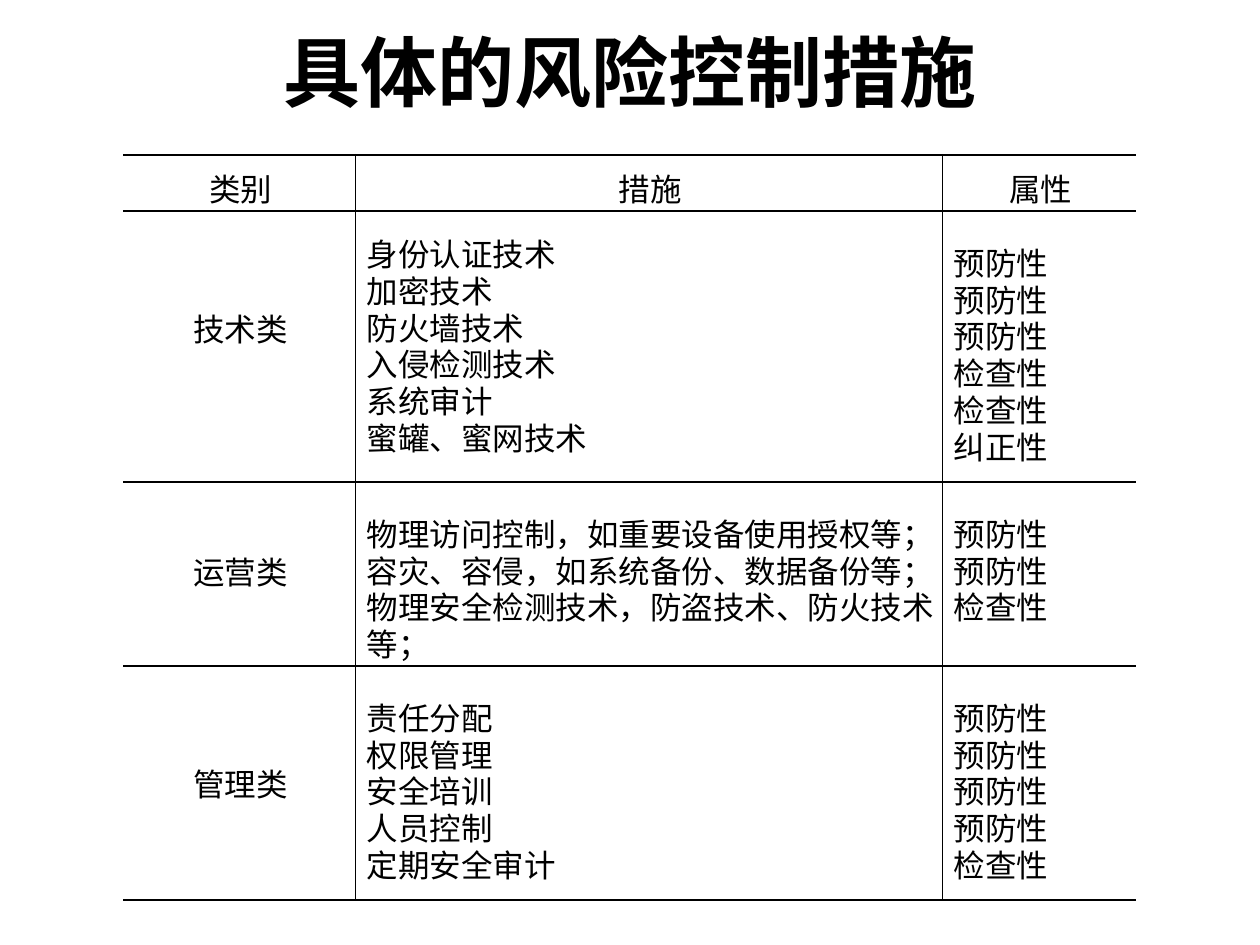
import pptx
import pptx.util
import pptx.dml.color
import pptx.enum.text
import pptx.oxml
import pptx.oxml.ns

Inches, Pt = pptx.util.Inches, pptx.util.Pt
ALIGN = pptx.enum.text.PP_ALIGN
ANCHOR = pptx.enum.text.MSO_ANCHOR
BLACK = pptx.dml.color.RGBColor(0, 0, 0)

TITLE_FONT = {"name": "Calibri", "size": Pt(44), "bold": True}
CELL_FONT = {"name": "Times New Roman", "size": Pt(18), "bold": False}
COL_WIDTHS = [1.84, 4.66, 1.54]
THIN, THICK = 1, 1.5
TIGHT, LOOSE = 16, 21  # line spacing in points

# Each row: height in inches, space above the text of each cell in points, cell lines
ROWS = [
    (0.44, (TIGHT,) * 3, (["类别"], ["措施"], ["属性"])),
    (2.15, (4 * TIGHT, TIGHT, LOOSE), (
        ["技术类"],
        ["身份认证技术", "加密技术", "防火墙技术", "入侵检测技术", "系统审计", "蜜罐、蜜网技术"],
        ["预防性"] * 3 + ["检查性"] * 2 + ["纠正性"])),
    (1.46, (3 * TIGHT, LOOSE, LOOSE), (
        ["运营类"],
        ["物理访问控制，如重要设备使用授权等；",
         "容灾、容侵，如系统备份、数据备份等；",
         "物理安全检测技术，防盗技术、防火技术等；"],
        ["预防性"] * 2 + ["检查性"])),
    (1.86, (4 * TIGHT, LOOSE, LOOSE), (
        ["管理类"],
        ["责任分配", "权限管理", "安全培训", "人员控制", "定期安全审计"],
        ["预防性"] * 4 + ["检查性"])),
]


def apply(obj, values):
    for name, value in values.items():
        setattr(obj, name, value)


def set_font(font, values):
    apply(font, values)
    font.color.rgb = BLACK


def add_title(s, text):
    sp = s.shapes.title
    apply(sp, {"left": Inches(0.5), "top": Inches(0.13),
               "width": Inches(9), "height": Inches(0.87)})
    tf = sp.text_frame
    tf.vertical_anchor = ANCHOR.MIDDLE
    p = tf.paragraphs[0]
    p.alignment = ALIGN.CENTER
    r = p.add_run()
    r.text = text
    set_font(r.font, TITLE_FONT)


def set_borders(cell, widths):
    """Draw the cell edges; a width of 0 hides the edge."""
    tcPr = cell._tc.get_or_add_tcPr()
    ns = pptx.oxml.ns.nsdecls("a")
    for edge in "LRTB":
        width = widths[edge]
        fill = f'<a:solidFill><a:srgbClr val="{BLACK}"/></a:solidFill>' if width else "<a:noFill/>"
        tcPr.append(pptx.oxml.parse_xml(
            f'<a:ln{edge} {ns} w="{int(Pt(width))}">{fill}</a:ln{edge}>'))


def fill_cell(cell, lines, space_above, alignment, spacing):
    apply(cell, {"margin_left": Inches(0.07), "margin_right": Inches(0.07),
                 "margin_top": Pt(space_above), "margin_bottom": 0,
                 "vertical_anchor": ANCHOR.TOP})
    tf = cell.text_frame
    for i, line in enumerate(lines):
        p = tf.add_paragraph() if i else tf.paragraphs[0]
        apply(p, {"alignment": alignment, "line_spacing": Pt(spacing)})
        pPr = p._p.get_or_add_pPr()
        pPr.set("marL", str(int(Inches(0.02))))
        pPr.set("indent", "0")
        r = p.add_run()
        r.text = line
        set_font(r.font, CELL_FONT)


def add_measures_table(s):
    last_row, last_col = len(ROWS) - 1, len(COL_WIDTHS) - 1
    table = s.shapes.add_table(len(ROWS), len(COL_WIDTHS), Inches(0.98), Inches(1.23),
                               Inches(8.03), Inches(5.92)).table
    apply(table, {"first_row": False, "horz_banding": False})
    for column, width in zip(table.columns, COL_WIDTHS):
        column.width = Inches(width)
    for i, (height, spaces, texts) in enumerate(ROWS):
        table.rows[i].height = Inches(height)
        for j, lines in enumerate(texts):
            cell = table.cell(i, j)
            label = i == 0 or j == 0
            fill_cell(cell, lines, spaces[j],
                      ALIGN.CENTER if label else ALIGN.LEFT,
                      TIGHT if label else LOOSE)
            set_borders(cell, {"L": THIN if j else 0,
                               "R": THIN if j < last_col else 0,
                               "T": THIN if i else THICK,
                               "B": THIN if i < last_row else THICK})
            cell.fill.background()


def main():
    prs = pptx.Presentation()
    apply(prs, {"slide_width": Inches(10), "slide_height": Inches(7.5)})
    s = prs.slides.add_slide(prs.slide_layouts[5])
    add_title(s, "具体的风险控制措施")
    add_measures_table(s)
    prs.save("out.pptx")


if __name__ == "__main__":
    main()
